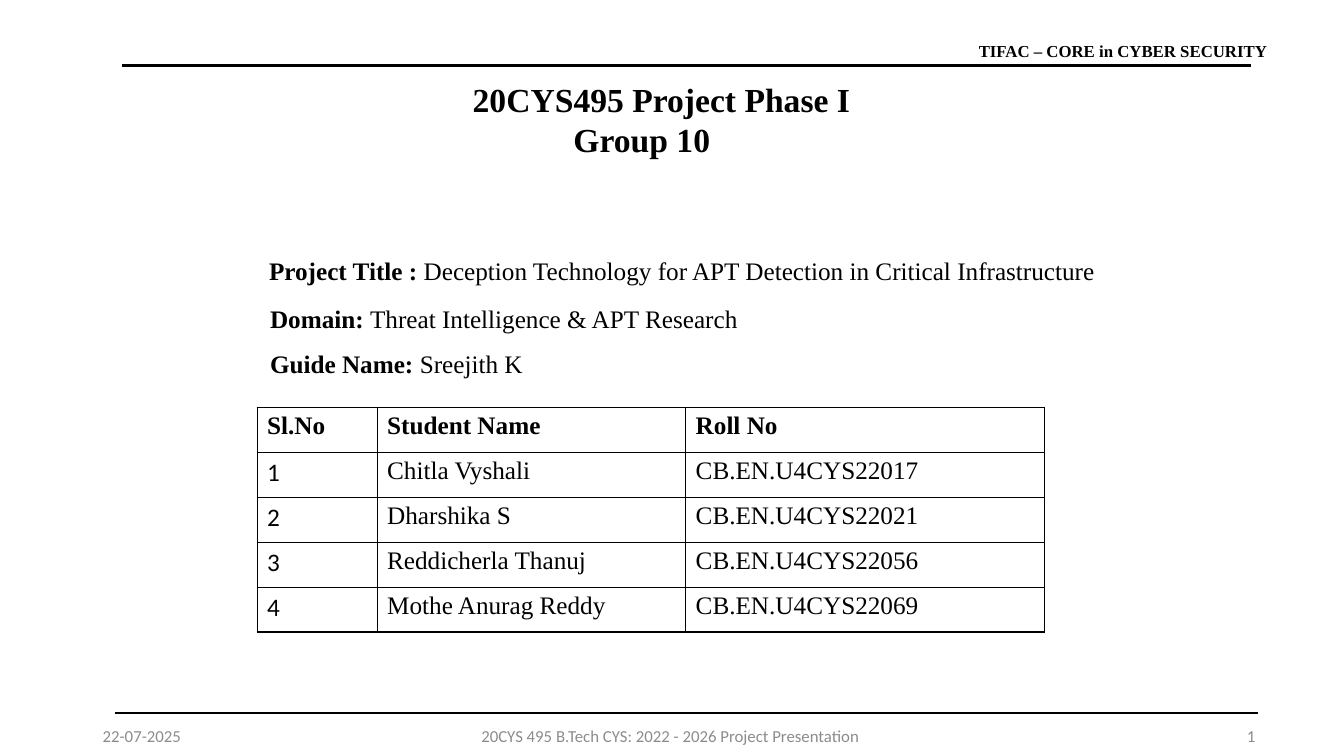
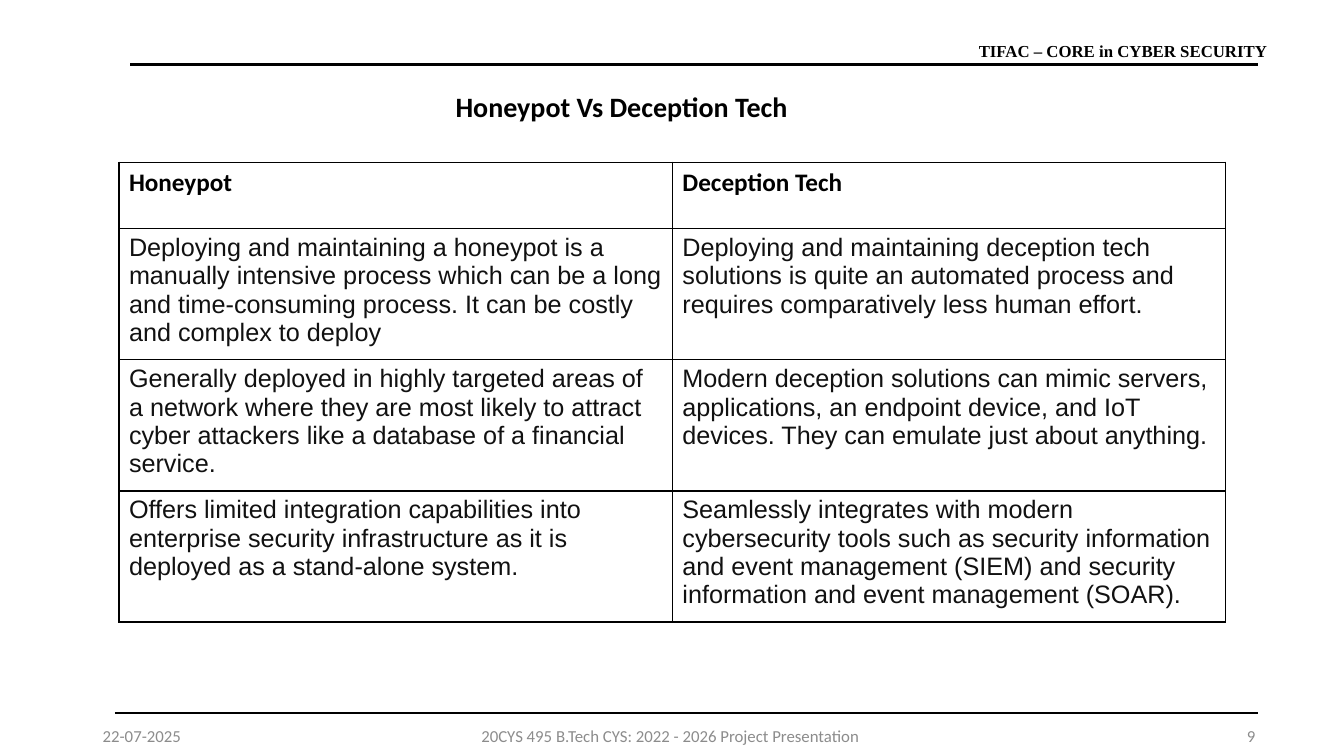
from lxml.etree import SubElement
from pptx import Presentation
from pptx.dml.color import RGBColor
from pptx.enum.shapes import MSO_CONNECTOR
from pptx.enum.text import MSO_ANCHOR, PP_ALIGN
from pptx.oxml import parse_xml
from pptx.oxml.ns import qn
from pptx.util import Inches, Pt

WIDTH, HEIGHT = Inches(13.33), Inches(7.5)
BLACK, INK, GRAY, WHITE = "000000", "111111", "8C8C8C", "FFFFFF"
SERIF, SANS, BODY = "Times New Roman", "Calibri", "Arial"
NS = "http://schemas.openxmlformats.org/drawingml/2006/main"

HEADER = "TIFAC – CORE in CYBER SECURITY"
DATE = "22-07-2025"
FOOTER = "20CYS 495 B.Tech CYS: 2022 - 2026 Project Presentation"

COURSE, GROUP = "20CYS495 Project Phase I", "Group 10"
DETAILS = [
    ("Project Title : ", "Deception Technology for APT Detection in Critical Infrastructure",
     (19.28, 33.07, 66.69, 5.33)),
    ("Domain: ", "Threat Intelligence & APT Research", (19.35, 39.47, 44.11, 9.87)),
    ("Guide Name: ", "Sreejith K", (19.35, 45.47, 50.04, 5.33)),
]
STUDENTS = [
    ("Sl.No", "Student Name", "Roll No"),
    ("1", "Chitla Vyshali", "CB.EN.U4CYS22017"),
    ("2", "Dharshika S", "CB.EN.U4CYS22021"),
    ("3", "Reddicherla Thanuj", "CB.EN.U4CYS22056"),
    ("4", "Mothe Anurag Reddy", "CB.EN.U4CYS22069"),
]
COMPARISON_TITLE = "Honeypot Vs Deception Tech"
COMPARISON = [
    ("Honeypot", "Deception Tech"),
    ("Deploying and maintaining a honeypot is a manually intensive process which can be a long "
     "and time-consuming process. It can be costly and complex to deploy",
     "Deploying and maintaining deception tech solutions is quite an automated process and "
     "requires comparatively less human effort."),
    ("Generally deployed in highly targeted areas of a network where they are most likely to "
     "attract cyber attackers like a database of a financial service.",
     "Modern deception solutions can mimic servers, applications, an endpoint device, and IoT "
     "devices. They can emulate just about anything."),
    ("Offers limited integration capabilities into enterprise security infrastructure as it is "
     "deployed as a stand-alone system.",
     "Seamlessly integrates with modern cybersecurity tools such as security information and "
     "event management (SIEM) and security information and event management (SOAR)."),
]


def color(value):
    return RGBColor.from_string(value)


def across(percent):
    return round(WIDTH * percent / 100)


def down(percent):
    return round(HEIGHT * percent / 100)


def write(p, text, size=18, font=SERIF, ink=BLACK, bold=False, align=PP_ALIGN.LEFT, indent=0):
    p.alignment = align
    if indent:
        p._p.get_or_add_pPr().set("marL", str(Inches(indent)))
    r = p.add_run()
    r.text = text
    r.font.size, r.font.name, r.font.bold = Pt(size), font, bold
    r.font.color.rgb = color(ink)


def add_box(slide, left, top, width, height, wrap=True, anchor=MSO_ANCHOR.TOP):
    tf = slide.shapes.add_textbox(across(left), down(top), across(width), down(height)).text_frame
    tf.word_wrap, tf.vertical_anchor = wrap, anchor
    return tf


def add_rule(slide, left, right, y):
    line = slide.shapes.add_connector(
        MSO_CONNECTOR.STRAIGHT, across(left), down(y), across(right), down(y))
    line.line.color.rgb, line.line.width = color(BLACK), Pt(1.5)
    SubElement(line._element.spPr, qn("a:effectLst"))


def add_frame(prs, number, left, right, y):
    slide = prs.slides.add_slide(prs.slide_layouts[6])
    add_rule(slide, left, right, y)
    add_rule(slide, 8.55, 93.62, 94.27)
    write(add_box(slide, 72.09, 4.67, 23.18, 4, wrap=False).paragraphs[0],
          HEADER, size=12, bold=True)
    footers = [
        (DATE, 6.9, 22.5, PP_ALIGN.LEFT),
        (FOOTER, 33, 33.76, PP_ALIGN.CENTER),
        (str(number), 71.64, 22.5, PP_ALIGN.RIGHT),
    ]
    for text, x, width, align in footers:
        tf = add_box(slide, x, 94.67, width, 5.33, anchor=MSO_ANCHOR.MIDDLE)
        write(tf.paragraphs[0], text, size=12, font=SANS, ink=GRAY, align=align)
    return slide


def add_borders(cell):
    tcPr = cell._tc.get_or_add_tcPr()
    for i, side in enumerate("LRTB"):
        tcPr.insert(i, parse_xml(
            f'<a:ln{side} xmlns:a="{NS}" w="{Pt(1)}"><a:solidFill>'
            f'<a:srgbClr val="{BLACK}"/></a:solidFill></a:ln{side}>'))


def add_grid(slide, rows, left, top, widths, heights, style):
    table = slide.shapes.add_table(
        len(rows), len(widths), across(left), down(top),
        across(sum(widths)), down(sum(heights))).table
    table.first_row = table.horz_banding = False
    for column, width in zip(table.columns, widths):
        column.width = across(width)
    for i, (row, height) in enumerate(zip(rows, heights)):
        table.rows[i].height = down(height)
        for j, text in enumerate(row):
            cell = table.cell(i, j)
            cell.fill.solid()
            cell.fill.fore_color.rgb = color(WHITE)
            add_borders(cell)
            write(cell.text_frame.paragraphs[0], text, **style(i, j))


def student_style(i, j):
    return {"font": SANS if i and j == 0 else SERIF, "bold": i == 0}


def comparison_style(i, j):
    return {"font": BODY, "ink": INK} if i else {"font": SANS, "bold": True}


def build_cover(prs):
    slide = add_frame(prs, 1, 9.08, 93.1, 8.67)
    tf = add_box(slide, 34.43, 9.73, 31.28, 17.47)
    write(tf.paragraphs[0], COURSE, size=24, bold=True)
    write(tf.add_paragraph(), GROUP, size=24, bold=True, indent=1)
    for label, value, place in DETAILS:
        p = add_box(slide, *place).paragraphs[0]
        write(p, label, bold=True)
        write(p, value)
    add_grid(slide, STUDENTS, 19.13, 53.87, [8.93, 22.96, 26.71],
             [5.95] * len(STUDENTS), student_style)


def build_comparison(prs):
    slide = add_frame(prs, 9, 9.68, 93.62, 8.53)
    write(add_box(slide, 33.16, 11.2, 50.41, 5.87).paragraphs[0],
          COMPARISON_TITLE, size=20, font=SANS, bold=True)
    add_grid(slide, COMPARISON, 8.85, 21.47, [41.18] * 2,
             [8.8] + [17.33] * (len(COMPARISON) - 1), comparison_style)


def main():
    prs = Presentation()
    prs.slide_width, prs.slide_height = WIDTH, HEIGHT
    build_cover(prs)
    build_comparison(prs)
    prs.save("out.pptx")


if __name__ == "__main__":
    main()
